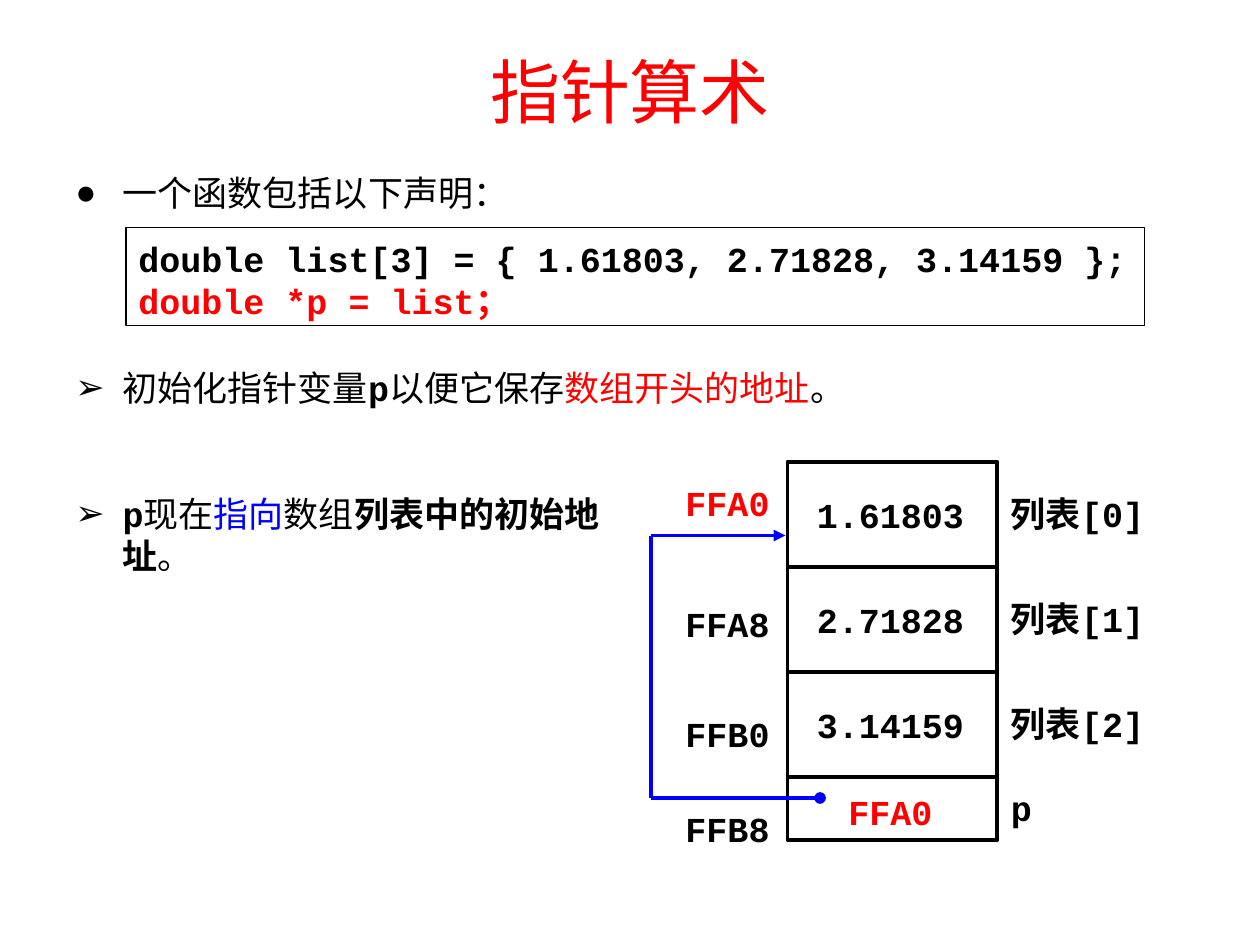
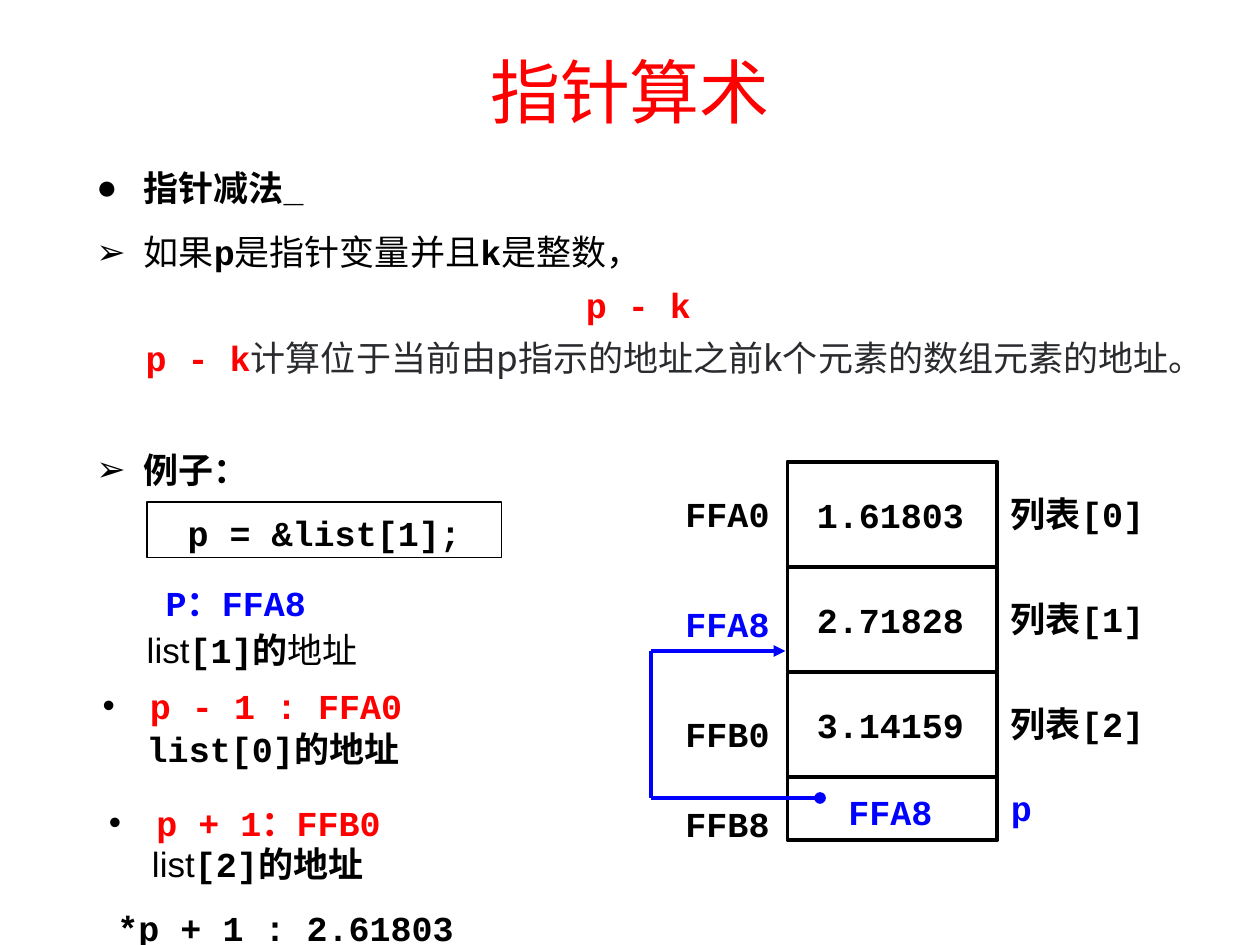
from pptx import Presentation
from pptx.dml.color import RGBColor
from pptx.enum.shapes import MSO_CONNECTOR, MSO_SHAPE
from pptx.enum.text import MSO_ANCHOR, PP_ALIGN
from pptx.oxml.ns import qn
from pptx.util import Pt
from lxml.etree import SubElement

PX = 7620  # 120 px to the inch
BLACK = RGBColor(0x00, 0x00, 0x00)
WHITE = RGBColor(0xFF, 0xFF, 0xFF)
RED = RGBColor(0xFF, 0x00, 0x00)
BLUE = RGBColor(0x00, 0x00, 0xFF)
GRAY = RGBColor(0x2A, 0x2B, 0x2E)
SANS, CODE, SERIF = "Arial", "Courier New", "Times New Roman"
CJK = "Noto Sans CJK SC"
LEFT, CENTER, JUSTIFY = PP_ALIGN.LEFT, PP_ALIGN.CENTER, PP_ALIGN.JUSTIFY

presentation = Presentation()
presentation.slide_width = 1200 * PX
presentation.slide_height = 900 * PX


def add_text(slide, box, *paragraphs, align=LEFT, bullet=None, indent=0,
             after=12, size=20, framed=False):
    """Each paragraph is a list of runs: (text, font, colour, bold)."""
    left, top, width, height = [length * PX for length in box]
    if framed:
        shape = slide.shapes.add_shape(MSO_SHAPE.RECTANGLE, left, top, width, height)
        shape.shadow.inherit = False
        shape.fill.solid()
        shape.fill.fore_color.rgb = WHITE
        shape.line.color.rgb = BLACK
        shape.line.width = Pt(0.75)
    else:
        shape = slide.shapes.add_textbox(left, top, width, height)
    frame = shape.text_frame
    frame.word_wrap = True
    frame.vertical_anchor = MSO_ANCHOR.TOP
    frame.margin_top = 9 * PX
    for index, runs in enumerate(paragraphs):
        paragraph = frame.paragraphs[0] if index == 0 else frame.add_paragraph()
        paragraph.alignment = align
        paragraph.space_after = Pt(after)
        paragraph.line_spacing = Pt(size * 1.2)
        properties = paragraph._p.get_or_add_pPr()
        if bullet:
            properties.set("marL", str(45 * PX))
            properties.set("indent", str(-45 * PX))
            color = SubElement(properties, qn("a:buClr"))
            SubElement(color, qn("a:srgbClr"), val=str(BLACK))
            SubElement(properties, qn("a:buFont"), typeface=SANS)
            SubElement(properties, qn("a:buChar"), char=bullet)
        elif indent:
            properties.set("marL", str(indent * PX))
            properties.set("indent", "0")
        for text, font, color, bold in runs:
            run = paragraph.add_run()
            run.text = text
            run.font.size = Pt(size)
            run.font.name = font
            run.font.bold = bold
            run.font.color.rgb = color
            SubElement(run._r.get_or_add_rPr(), qn("a:ea"), typeface=CJK)
    return shape


def add_line(slide, start, end, color, head=None, tail=None):
    x1, y1, x2, y2 = [length * PX for length in (*start, *end)]
    line = slide.shapes.add_connector(MSO_CONNECTOR.STRAIGHT, x1, y1, x2, y2)
    line.line.color.rgb = color
    line.line.width = Pt(2.25)
    outline = line.line._get_or_add_ln()
    if head:
        SubElement(outline, qn("a:headEnd"), type=head)
    if tail:
        SubElement(outline, qn("a:tailEnd"), type=tail)
    SubElement(line._element.spPr, qn("a:effectLst"))


# Shared title and memory diagram
VALUES = ["1.61803", "2.71828", "3.14159"]
ADDRESSES = ["FFA0", "FFA8", "FFB0", "FFB8"]
# Address tops, index of the target, its colour, colour of p, height of the arrow
DIAGRAMS = [
    ([450, 565, 670, 760], 0, RED, BLACK, 510),
    ([460, 565, 670, 755], 1, BLUE, BLUE, 620),
]
slides = []
for address_tops, target, target_color, p_color, arrow_y in DIAGRAMS:
    slide = presentation.slides.add_slide(presentation.slide_layouts[6])
    slides.append(slide)
    title = add_text(slide, (0, 10, 1200, 150), [("指针算术", SERIF, RED, False)],
                     align=CENTER, after=0, size=40)
    title.text_frame.vertical_anchor = MSO_ANCHOR.MIDDLE

    memory = slide.shapes.add_shape(MSO_SHAPE.RECTANGLE, 750 * PX, 440 * PX, 200 * PX, 360 * PX)
    memory.shadow.inherit = False
    memory.fill.background()
    memory.line.color.rgb = BLACK
    memory.line.width = Pt(2.25)
    for index, value in enumerate(VALUES):
        top = 460 + 100 * index
        add_line(slide, (750, top + 80), (950, top + 80), BLACK)
        add_text(slide, (748, top + 1, 200, 60), [(value, CODE, BLACK, True)], align=CENTER)
        add_text(slide, (951, top, 166, 60), [(f"列表[{index}]", CODE, BLACK, True)])
    add_text(slide, (748, 744, 200, 53), [(ADDRESSES[target], CODE, target_color, True)],
             align=CENTER)
    add_text(slide, (951, 740, 166, 60), [("p", CODE, p_color, True)])
    for index, (address, top) in enumerate(zip(ADDRESSES, address_tops)):
        color = target_color if index == target else BLACK
        add_text(slide, (641, top, 112, 60), [(address, CODE, color, True)])

    # Pointer from p to its target
    add_line(slide, (781, 760), (620, 760), BLUE, head="oval")
    add_line(slide, (620, 760), (620, arrow_y), BLUE)
    add_line(slide, (620, arrow_y), (748, arrow_y), BLUE, tail="triangle")

declaration, subtraction = slides

# Slide 1: declaration
add_text(declaration, (60, 154, 1110, 50),
         [("一个函数包括以下声明：", SANS, BLACK, False)], bullet="●")
add_text(declaration, (120, 217, 970, 93),
         [("double list[3] = { 1.61803, 2.71828, 3.14159 };", CODE, BLACK, True)],
         [("double *p = list；", CODE, RED, True)], after=0, framed=True)
add_text(declaration, (60, 340, 1030, 110),
         [("初始化指针变量", SANS, BLACK, False), ("p", CODE, BLACK, True),
          ("以便它保存", SANS, BLACK, False), ("数组开头的地址", SANS, RED, False),
          ("。", SANS, BLACK, False)], bullet="➢")
add_text(declaration, (60, 460, 550, 110),
         [("p", CODE, BLACK, True), ("现在", SANS, BLACK, False),
          ("指向", SANS, BLUE, False), ("数组", SANS, BLACK, False),
          ("列表中的初始地址", CODE, BLACK, True), ("。", SANS, BLACK, False)], bullet="➢")

# Slide 2: rule for pointer subtraction
add_text(subtraction, (80, 150, 1056, 60), [("指针减法_", SANS, BLACK, True)],
         align=JUSTIFY, bullet="●")
add_text(subtraction, (80, 211, 1056, 50),
         [("如果", SANS, BLACK, False), ("p", CODE, BLACK, True),
          ("是指针变量并且", SANS, BLACK, False), ("k", CODE, BLACK, True),
          ("是整数，", SANS, BLACK, False)], align=JUSTIFY, bullet="➢", after=6)
add_text(subtraction, (80, 261, 1056, 50), [("p - k", CODE, RED, True)],
         align=CENTER, after=6)
add_text(subtraction, (80, 311, 1056, 100),
         [("p - k", CODE, RED, True),
          ("计算位于当前由p指示的地址之前k个元素的数组元素的地址。", CJK, GRAY, False)],
         indent=47, after=6)

# Slide 2: example
add_text(subtraction, (80, 418, 410, 65), [("例子：", CODE, BLACK, True)], bullet="➢")
add_text(subtraction, (140, 478, 338, 53), [("p = &list[1];", CODE, BLACK, True)],
         align=CENTER, after=0, framed=True)
add_text(subtraction, (86, 545, 373, 65), [("P：FFA8", CODE, BLUE, True)], indent=60)
RESULTS = [
    (86, 643, "p - 1 : FFA0"),
    (92, 754, "p + 1：FFB0"),
]
for left, top, result in RESULTS:
    add_text(subtraction, (left, top, 373, 65), [(result, CODE, RED, True)], bullet="•")
MEANINGS = [
    (128, 590, [("list", SANS, BLACK, False), ("[1]的", CODE, BLACK, True),
                ("地址", SANS, BLACK, False)]),
    (128, 684, [("list[0]的地址", CODE, BLACK, True)]),
    (133, 793, [("list", SANS, BLACK, False), ("[2]的地址", CODE, BLACK, True)]),
]
for left, top, runs in MEANINGS:
    add_text(subtraction, (left, top, 370, 47), runs, align=JUSTIFY, after=6)
add_text(subtraction, (100, 854, 500, 65), [("*p + 1 : 2.61803", CODE, BLACK, True)])

presentation.save("out.pptx")
